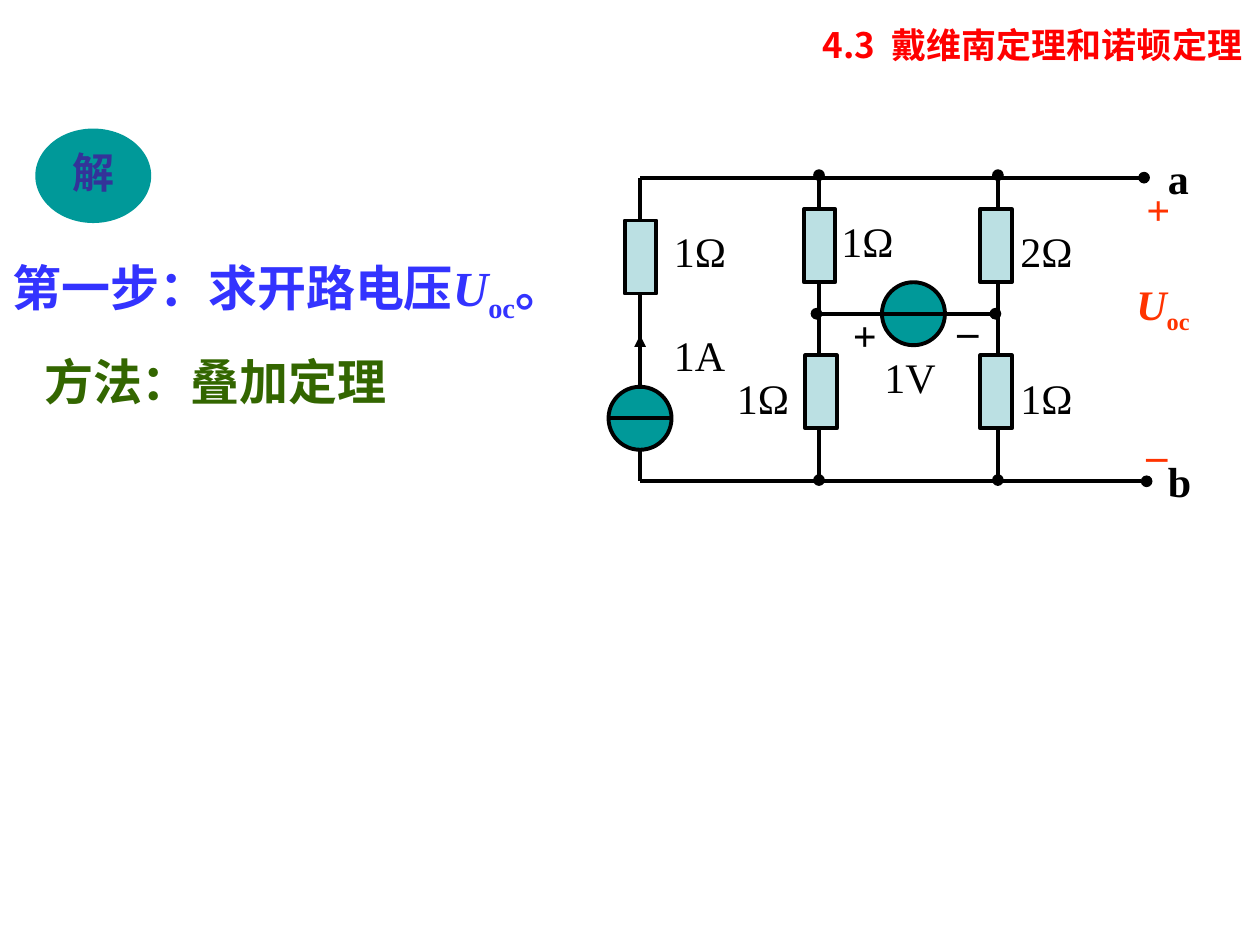
from typing import NamedTuple, Optional

from pptx import Presentation
from pptx.dml.color import RGBColor
from pptx.enum.shapes import MSO_CONNECTOR, MSO_SHAPE
from pptx.enum.text import MSO_ANCHOR, MSO_AUTO_SIZE, PP_ALIGN
from pptx.oxml.ns import qn
from pptx.util import Emu, Pt

PX = 9144  # 100 px to the inch
SERIF, SANS = "Times New Roman", "Noto Sans CJK SC"
COLORS = {
    "ink": "000000", "teal": "009999", "resistor": "BBE0E3", "step": "3333FF",
    "method": "336600", "badge": "333399", "voltage": "FF3300", "title": "FF0000",
}


class Span(NamedTuple):
    text: str
    italic: bool = False
    subscript: bool = False


class Wire(NamedTuple):
    start: tuple[int, int]
    end: tuple[int, int]
    head: Optional[str] = None
    tail: Optional[str] = None


class Label(NamedTuple):
    text: str
    left: int
    top: int
    width: int
    bold: bool = False


def px(*lengths: int) -> list[Emu]:
    return [Emu(length * PX) for length in lengths]


def color(name: str) -> RGBColor:
    return RGBColor.from_string(COLORS[name])


def place(box, left: int, top: int, width: int, height: int) -> None:
    box.left, box.top, box.width, box.height = px(left, top, width, height)


def write(box, *lines: list[Span], ink: str = "ink", size: int = 24,
          font: str = SERIF, bold: bool = True, align=PP_ALIGN.LEFT,
          anchor=MSO_ANCHOR.TOP, wrap: bool = True, gap: int = 0,
          fit=MSO_AUTO_SIZE.SHAPE_TO_FIT_TEXT) -> None:
    frame = box.text_frame
    frame.word_wrap, frame.auto_size, frame.vertical_anchor = wrap, fit, anchor
    for index, line in enumerate(lines):
        para = frame.add_paragraph() if index else frame.paragraphs[0]
        para.alignment = align
        para.space_before = Pt(gap if index else 0)
        properties = para._p.get_or_add_pPr()
        properties.set("marL", "0")
        properties.set("indent", "0")
        properties.append(properties.makeelement(qn("a:buNone"), {}))
        for span in line:
            run = para.add_run()
            run.text = span.text
            run.font.size, run.font.name = Pt(size), font
            run.font.bold, run.font.italic = bold, span.italic
            run.font.color.rgb = color(ink)
            run_properties = run.font._element
            if span.subscript:
                run_properties.set("baseline", "-25000")
            run_properties.append(
                run_properties.makeelement(qn("a:ea"), {"typeface": SANS}))


def draw_shape(parent, kind, left: int, top: int, width: int, height: int,
               fill: str, outlined: bool = True) -> None:
    shape = parent.add_shape(kind, *px(left, top, width, height))
    shape.shadow.inherit = False
    shape.fill.solid()
    shape.fill.fore_color.rgb = color(fill)
    if outlined:
        shape.line.color.rgb = color("ink")
        shape.line.width = Pt(2.25)
    else:
        shape.line.fill.background()


def draw_wire(parent, wire: Wire) -> None:
    line = parent.add_connector(MSO_CONNECTOR.STRAIGHT, *px(*wire.start, *wire.end))
    line.line.color.rgb = color("ink")
    line.line.width = Pt(2.25)
    properties = line.element.spPr
    outline = properties.find(qn("a:ln"))
    for tag, kind in (("a:headEnd", wire.head), ("a:tailEnd", wire.tail)):
        if kind:
            outline.append(outline.makeelement(qn(tag), {"type": kind}))
    properties.append(properties.makeelement(qn("a:effectLst"), {}))


def draw_label(parent, label: Label) -> None:
    box = parent.add_textbox(*px(label.left, label.top, label.width, 50))
    write(box, [Span(label.text)], bold=label.bold)


WIRES = [
    Wire((508, 141), (908, 141), tail="oval"),
    Wire((508, 382), (910, 382), tail="oval"),
    Wire((508, 141), (508, 382)),
    *(Wire((x, 139), (x, 381), "oval", "oval") for x in (650, 792)),
    Wire((648, 249), (790, 249), "oval", "oval"),
]
CURRENT_SOURCE_WIRES = [
    Wire((533, 332), (483, 332)),
    Wire((508, 307), (508, 266), tail="triangle"),
]
SOURCES = [(700, 224), (483, 307)]
RESISTORS = [(496, 175), (638, 166), (778, 166), (639, 282), (778, 282)]
LABELS = [
    Label("_", 750, 226, 92, True),
    Label("1V", 692, 274, 92),
    Label("+", 667, 241, 92, True),
    Label("1Ω", 525, 174, 133),
    Label("1Ω", 575, 291, 133),
    Label("1Ω", 658, 166, 133),
    Label("1Ω", 800, 291, 83),
    Label("2Ω", 800, 174, 133),
    Label("a", 917, 116, 83, True),
    Label("b", 917, 357, 83, True),
    Label("1A", 525, 257, 133),
]


def main() -> None:
    deck = Presentation()
    deck.slide_width, deck.slide_height = px(1000, 750)
    page = deck.slides.add_slide(deck.slide_layouts[3])
    title, step, method = list(page.placeholders)[:3]

    # Heading and solution steps
    place(title, 146, 14, 850, 47)
    write(title, [Span("4.3  戴维南定理和诺顿定理")], ink="title", size=20, font=SANS,
          align=PP_ALIGN.RIGHT, fit=MSO_AUTO_SIZE.NONE)
    place(step, 0, 199, 825, 63)
    write(step, [Span("第一步：求开路电压"), Span("U", italic=True),
                 Span("oc", subscript=True), Span("。")], ink="step", size=28)
    place(method, 25, 274, 325, 57)
    write(method, [Span("方法：叠加定理")], ink="method", size=28)

    # Circuit
    circuit = page.shapes.add_group_shape().shapes
    for wire in WIRES:
        draw_wire(circuit, wire)
    for left, top in SOURCES:
        draw_shape(circuit, MSO_SHAPE.OVAL, left, top, 50, 50, "teal")
    # The voltage source shows its wire on top
    for wire in [*CURRENT_SOURCE_WIRES, Wire((700, 249), (750, 249))]:
        draw_wire(circuit, wire)
    for left, top in RESISTORS:
        draw_shape(circuit, MSO_SHAPE.RECTANGLE, left, top, 25, 58, "resistor")
    for label in LABELS:
        draw_label(circuit, label)

    # Open-circuit voltage
    voltage = page.shapes.add_group_shape().shapes
    signs = voltage.add_textbox(*px(900, 141, 58, 294))
    write(signs, [Span("+")], [Span("_")], ink="voltage", gap=103)
    symbol = voltage.add_textbox(*px(892, 216, 108, 56))
    write(symbol, [Span("U", italic=True), Span("oc", subscript=True)], ink="voltage")

    # Solution badge
    draw_shape(page.shapes, MSO_SHAPE.OVAL, 28, 102, 92, 75, "teal", outlined=False)
    badge = page.shapes.add_textbox(*px(33, 107, 83, 58))
    write(badge, [Span("解")], ink="badge", font=SANS, align=PP_ALIGN.CENTER,
          anchor=MSO_ANCHOR.MIDDLE, wrap=False, fit=MSO_AUTO_SIZE.NONE)

    deck.save("out.pptx")


if __name__ == "__main__":
    main()
